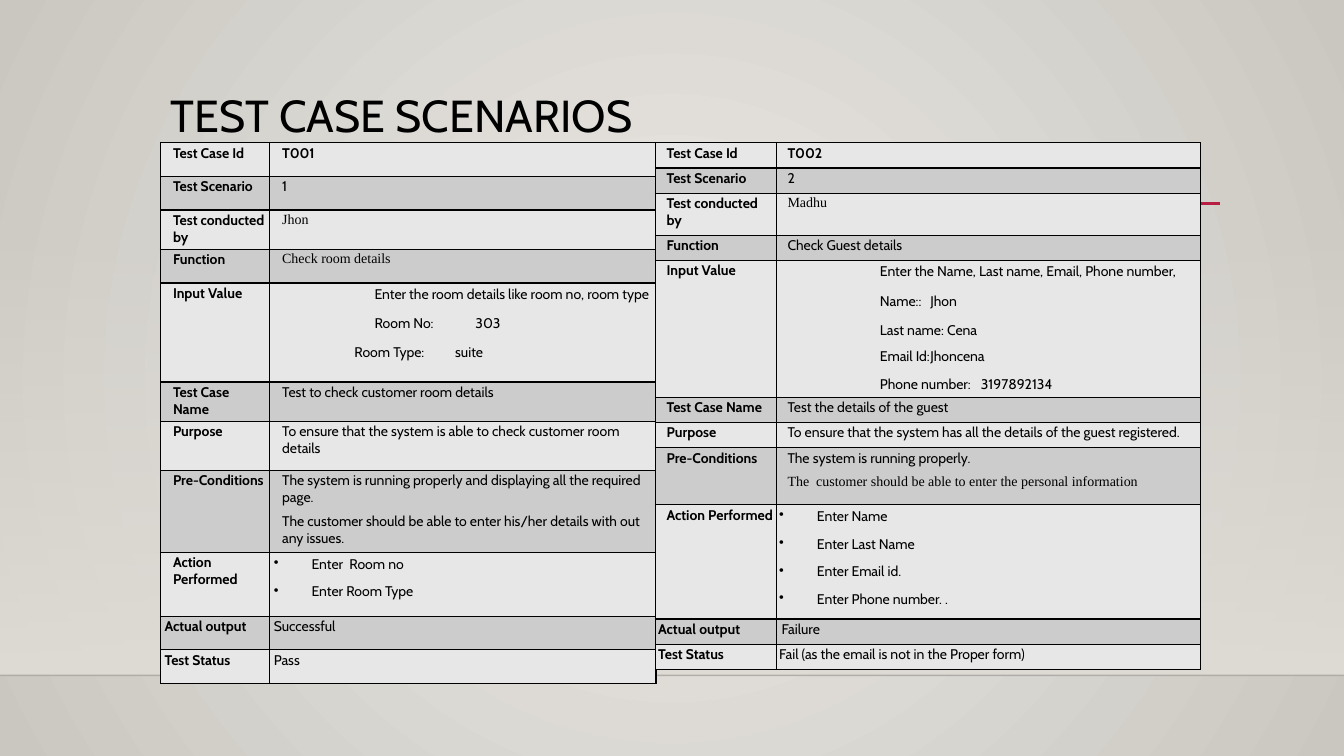
from dataclasses import dataclass
from itertools import cycle

from lxml.etree import SubElement as sub
from pptx import Presentation
from pptx.dml.color import RGBColor as Color
from pptx.enum.shapes import MSO_CONNECTOR as Connector, MSO_SHAPE as Shape
from pptx.oxml.ns import qn
from pptx.util import Emu, Pt


@dataclass(frozen=True)
class Theme:
    font: str = "Cabin"
    serif: str = "Times New Roman"
    ink: str = "000000"
    accent: str = "B71E42"
    floor: str = "DFDBD5"
    glow: str = "ECEAE7"
    edge: str = "CAC7C1"
    bands: tuple = ("E7E7E7", "CCCCCC")
    title: int = 32
    body: int = 10


THEME = Theme()
COLUMNS, ROWS = 160, 90
UNIT = 76200

STYLES = {
    "strong": dict(indent=1, bold=True),
    "strong flush": dict(bold=True),
    "plain": dict(indent=1),
    "serif": dict(indent=1, font=THEME.serif),
    "flush": dict(),
    "nudged": dict(indent=0.3),
    "lead": dict(indent=12, leading=1.07, after=8.8),
    "field": dict(indent=12, after=8.5, tab=20.7),
    "room": dict(indent=9.6, after=6.4, tab=11),
    "name": dict(indent=12, after=6.4),
    "note": dict(indent=1, after=5.2),
    "serif note": dict(indent=1, after=5.2, font=THEME.serif),
    "bullet": dict(indent=4.5, leading=1.07, after=6.8, bullet="•"),
}

LABELS = ["Test Case Id", "Test Scenario", "Test conducted by", "Function",
          "Input Value", "Test Case Name", "Purpose", "Pre-Conditions",
          "Action Performed", "Actual output", "Test Status"]

ROOM_CASE = [
    (4, [("strong", "T001")]),
    (4, [("plain", "1")]),
    (4.7, [("serif", "Jhon")]),
    (4, [("serif", "Check room details")]),
    (11.8, [("lead", "Enter the room details like room no, room type"),
            ("field", "Room No:\t303"),
            ("room", "Room Type:\tsuite")]),
    (4.7, [("plain", "Test to check customer room details")]),
    (5.8, [("plain", "To ensure that the system is able to check customer room details")]),
    (9.8, [("note", "The system is running properly and displaying all the required page."),
           ("note", "The customer should be able to enter his/her details with out any issues.")]),
    (7.6, [("bullet", "Enter  Room no"), ("bullet", "Enter Room Type")]),
    (4, [("flush", "Successful")]),
    (4, [("flush", "Pass")]),
]

GUEST_CASE = [
    (3, [("strong", "T002")]),
    (3, [("plain", "2")]),
    (5, [("serif", "Madhu")]),
    (3, [("plain", "Check Guest details")]),
    (16.3, [("lead", "Enter the Name, Last name, Email, Phone number,"),
            ("field", "Name::\tJhon"),
            ("name", "Last name: Cena"),
            ("field", "Email Id:\tJhoncena"),
            ("field", "Phone number:\t3197892134")]),
    (3, [("plain", "Test the details of the guest")]),
    (3, [("plain", "To ensure that the system has all the details of the guest registered.")]),
    (6.8, [("note", "The system is running properly."),
           ("serif note", "The  customer should be able to enter the personal information")]),
    (13.6, [("bullet", text) for text in
            ("Enter Name", "Enter Last Name", "Enter Email id.", "Enter Phone number. .")]),
    (3, [("nudged", "Failure")]),
    (3, [("flush", "Fail (as the email is not in the Proper form)")]),
]


def grid(*values):
    return [Emu(round(value * UNIT)) for value in values]


def apply(target, values):
    for name, value in values.items():
        setattr(target, name, value)


def add_color(parent, color, opacity=100):
    node = sub(parent, qn("a:srgbClr"), val=color)
    if opacity < 100:
        sub(node, qn("a:alpha"), val=str(opacity * 1000))


def set_gradient(element, stops, circle=False):
    gradient = element.find(".//" + qn("a:gradFill"))
    for child in list(gradient):
        gradient.remove(child)
    stop_list = sub(gradient, qn("a:gsLst"))
    for position, color, opacity in stops:
        add_color(sub(stop_list, qn("a:gs"), pos=str(position * 1000)), color, opacity)
    if circle:
        radial = sub(gradient, qn("a:path"), {"path": "circle"})
        sub(radial, qn("a:fillToRect"), dict.fromkeys("ltrb", "50000"))
    else:
        sub(gradient, qn("a:lin"), ang="5400000", scaled="0")


class Page:
    def __init__(self, deck, theme):
        self.theme = theme
        self.slide = deck.slides.add_slide(deck.slide_layouts[6])
        self.shapes = self.slide.shapes

    def background(self):
        self.slide.background.fill.gradient()
        set_gradient(self.slide.element,
                     [(0, self.theme.glow, 100), (100, self.theme.edge, 100)], circle=True)

    def fade(self, *area):
        box = self.shapes.add_shape(Shape.RECTANGLE, *grid(*area))
        box.shadow.inherit = False
        box.line.fill.background()
        box.fill.gradient()
        set_gradient(box.element, [(0, self.theme.floor, 0), (100, self.theme.floor, 100)])

    def rule(self, left, right, level, color, width, opacity=100):
        rule = self.shapes.add_connector(Connector.STRAIGHT, *grid(left, level, right, level))
        rule.line.width = Pt(width)
        solid = rule.line.fill
        solid.solid()
        solid.fore_color.rgb = Color.from_string(color)
        fill = rule.element.find(".//" + qn("a:ln")).find(qn("a:solidFill"))
        fill.clear()
        add_color(fill, color, opacity)
        sub(rule.element.spPr, qn("a:effectLst"))

    def add_text(self, para, text, size, font=None, bold=False, indent=0,
                 leading=None, after=0, tab=None, bullet=None):
        span = para.add_run()
        span.text = text
        apply(span.font, dict(name=font or self.theme.font, size=Pt(size), bold=bold))
        span.font.color.rgb = Color.from_string(self.theme.ink)
        settings = para._p.get_or_add_pPr()
        margin = grid(indent)[0]
        settings.set("marL", str(margin))
        settings.set("indent", str(-margin if bullet else 0))
        if bullet:
            add_color(sub(settings, qn("a:buClr")), self.theme.ink)
            sub(settings, qn("a:buChar"), char=bullet)
        else:
            sub(settings, qn("a:buNone"))
        if tab:
            sub(sub(settings, qn("a:tabLst")), qn("a:tab"), pos=str(grid(tab)[0]), algn="ctr")
        apply(para, dict(line_spacing=leading, space_before=Pt(0), space_after=Pt(after)))

    def title(self, text, *area):
        box = self.shapes.add_textbox(*grid(*area))
        box.text_frame.word_wrap = True
        self.add_text(box.text_frame.paragraphs[0], text, self.theme.title, leading=0.9)

    def cell(self, cell, lines, fill, side):
        left, top = grid(side, 0.24)
        apply(cell, dict(margin_left=left, margin_right=left, margin_top=top, margin_bottom=0))
        cell.fill.solid()
        cell.fill.fore_color.rgb = Color.from_string(fill)
        settings = cell._tc.get_or_add_tcPr()
        for index, edge in enumerate("LRTB"):
            border = sub(settings, qn("a:ln" + edge), w=str(Pt(1)))
            add_color(sub(border, qn("a:solidFill")), self.theme.ink)
            settings.insert(index, border)
        frame = cell.text_frame
        for index, (style, text) in enumerate(lines):
            para = frame.add_paragraph() if index else frame.paragraphs[0]
            self.add_text(para, text, self.theme.body, **STYLES[style])

    def test_case(self, left, top, widths, rows, side):
        height = sum(row[0] for row in rows)
        table = self.shapes.add_table(
            len(rows), len(widths), *grid(left, top, sum(widths), height)).table
        apply(table, dict(first_row=False, horz_banding=False))
        for column, width in zip(table.columns, grid(*widths)):
            column.width = width
        for row, label, (height, lines), fill in zip(
                table.rows, LABELS, rows, cycle(self.theme.bands)):
            row.height = grid(height)[0]
            style = "strong flush" if label in LABELS[-2:] else "strong"
            for cell, content in zip(row.cells, ([(style, label)], lines)):
                self.cell(cell, content, fill, side)


deck = Presentation()
deck.slide_width, deck.slide_height = grid(COLUMNS, ROWS)
page = Page(deck, THEME)
page.background()
page.fade(0, 26.5, COLUMNS, 53.9)
page.rule(0, COLUMNS, 80.4, THEME.ink, 1, opacity=20)
page.rule(19.1, 145.2, 24.2, THEME.accent, 2.5)
page.title("TEST CASE SCENARIOS", 19.1, 10.6, 126, 13.8)
page.test_case(19.1, 17, (13, 46), ROOM_CASE, 0.5)
page.test_case(78, 17, (14.4, 50.5), GUEST_CASE, 0.36)
deck.save("out.pptx")
